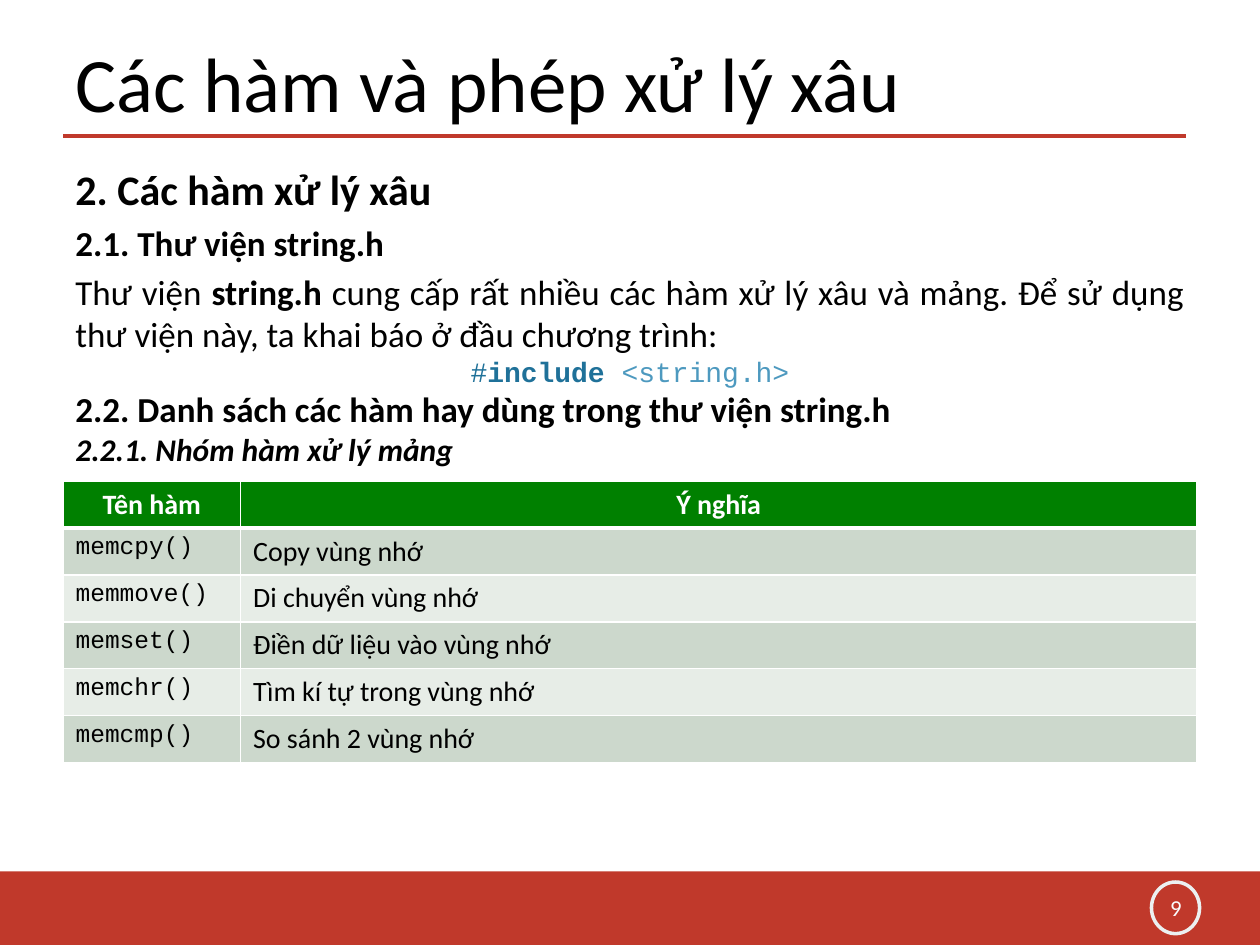
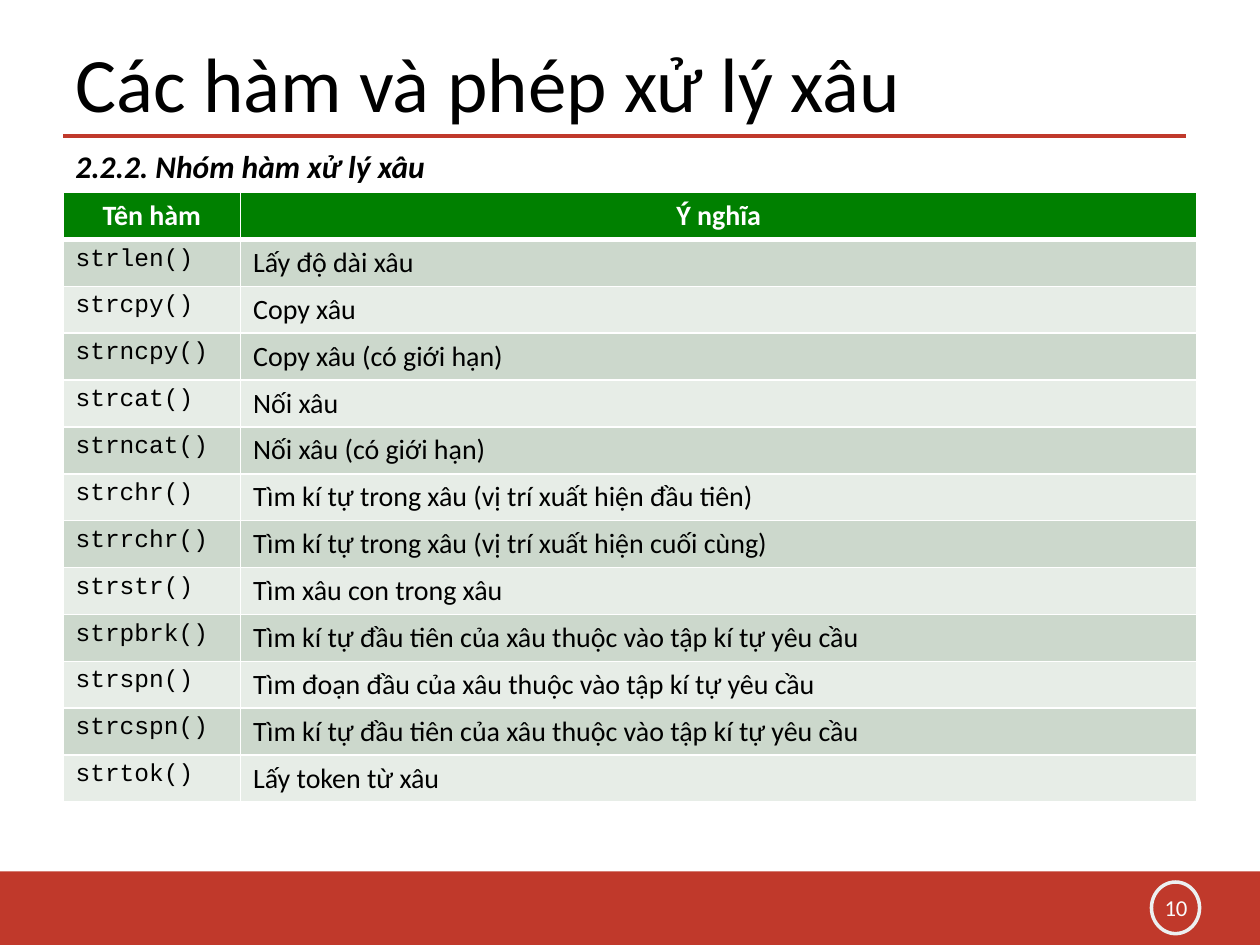
from lxml.etree import SubElement
from pptx import Presentation
from pptx.dml.color import RGBColor
from pptx.enum.shapes import MSO_CONNECTOR, MSO_SHAPE
from pptx.enum.text import MSO_ANCHOR, PP_ALIGN
from pptx.oxml.ns import qn
from pptx.util import Pt

RED = RGBColor(0xC0, 0x39, 0x2B)
RING = RGBColor(0xEC, 0xF0, 0xF1)
NUMBER = RGBColor(0xFA, 0xFC, 0xFC)
BLACK = RGBColor(0x00, 0x00, 0x00)
WHITE = RGBColor(0xFF, 0xFF, 0xFF)
GREEN = RGBColor(0x00, 0x80, 0x00)
BANDS = (RGBColor(0xCC, 0xD8, 0xCC), RGBColor(0xE7, 0xED, 0xE7))
KEYWORD = RGBColor(0x1F, 0x71, 0x99)
HEADER = RGBColor(0x4D, 0x99, 0xBF)
SANS, MONO = "Calibri", "Courier New"
LEFT, WIDTH = 36, 648
NAME_WIDTH, ROW_HEIGHT = 101.5, 26.8
TITLE = "Các hàm và phép xử lý xâu"

ARRAY_FUNCTIONS = (
    ("memcpy()", "Copy vùng nhớ"),
    ("memmove()", "Di chuyển vùng nhớ"),
    ("memset()", "Điền dữ liệu vào vùng nhớ"),
    ("memchr()", "Tìm kí tự trong vùng nhớ"),
    ("memcmp()", "So sánh 2 vùng nhớ"),
)
STRING_FUNCTIONS = (
    ("strlen()", "Lấy độ dài xâu"),
    ("strcpy()", "Copy xâu"),
    ("strncpy()", "Copy xâu (có giới hạn)"),
    ("strcat()", "Nối xâu"),
    ("strncat()", "Nối xâu (có giới hạn)"),
    ("strchr()", "Tìm kí tự trong xâu (vị trí xuất hiện đầu tiên)"),
    ("strrchr()", "Tìm kí tự trong xâu (vị trí xuất hiện cuối cùng)"),
    ("strstr()", "Tìm xâu con trong xâu"),
    ("strpbrk()", "Tìm kí tự đầu tiên của xâu thuộc vào tập kí tự yêu cầu"),
    ("strspn()", "Tìm đoạn đầu của xâu thuộc vào tập kí tự yêu cầu"),
    ("strcspn()", "Tìm kí tự đầu tiên của xâu thuộc vào tập kí tự yêu cầu"),
    ("strtok()", "Lấy token từ xâu"),
)


class Deck:
    """Builds lecture slides in one shared style."""

    def __init__(self):
        self.presentation = Presentation()
        self.presentation.slide_width = Pt(720)
        self.presentation.slide_height = Pt(540)
        self.slide = None

    def start_slide(self, number):
        self.slide = self.presentation.slides.add_slide(self.presentation.slide_layouts[6])
        self.rule(LEFT, 678, 77.8)
        self.shape(MSO_SHAPE.RECTANGLE, (0, 498, 720, 42), fill=RED)
        self.shape(MSO_SHAPE.OVAL, (658, 504, 27.5, 29.5), outline=RING)
        page = self.text_frame((654, 507, 36, 23), MSO_ANCHOR.MIDDLE)
        self.paragraph(page, PP_ALIGN.CENTER).run(str(number), 13, color=NUMBER)
        title = self.text_frame((LEFT, 21.6, 576, 49.7), MSO_ANCHOR.MIDDLE)
        self.paragraph(title, PP_ALIGN.LEFT).run(TITLE, 44)

    def rule(self, start, end, y):
        line = self.slide.shapes.add_connector(
            MSO_CONNECTOR.STRAIGHT, Pt(start), Pt(y), Pt(end), Pt(y))
        line.line.color.rgb = RED
        line.line.width = Pt(2.25)
        SubElement(line._element.spPr, qn("a:effectLst"))

    def shape(self, preset, box, fill=None, outline=None):
        shape = self.slide.shapes.add_shape(preset, *map(Pt, box))
        shape.shadow.inherit = False
        if fill is None:
            shape.fill.background()
        else:
            shape.fill.solid()
            shape.fill.fore_color.rgb = fill
        if outline is None:
            shape.line.fill.background()
        else:
            shape.line.color.rgb = outline
            shape.line.width = Pt(2)

    def text_frame(self, box, anchor=MSO_ANCHOR.TOP):
        frame = self.slide.shapes.add_textbox(*map(Pt, box)).text_frame
        frame.word_wrap = True
        frame.vertical_anchor = anchor
        return frame

    def paragraph(self, frame, align=PP_ALIGN.JUSTIFY, before=0):
        first = frame.paragraphs[0]
        self.current = frame.add_paragraph() if first.runs else first
        self.current.alignment = align
        self.current.space_before = Pt(before)
        return self

    def run(self, text, size, font=SANS, color=BLACK, bold=False, italic=False):
        run = self.current.add_run()
        run.text = text
        run.font.size = Pt(size)
        run.font.name = font
        run.font.color.rgb = color
        run.font.bold = bold
        run.font.italic = italic
        return self

    def border(self, cell, top, bottom):
        properties = cell._tc.get_or_add_tcPr()
        for side, width in (("L", 1), ("R", 1), ("T", top), ("B", bottom)):
            edge = SubElement(properties, qn(f"a:ln{side}"), w=str(Pt(width)))
            SubElement(SubElement(edge, qn("a:solidFill")), qn("a:srgbClr"), val=str(WHITE))

    def cell(self, cell, fill, top=1, bottom=1, align=PP_ALIGN.LEFT):
        self.border(cell, top, bottom)
        cell.fill.solid()
        cell.fill.fore_color.rgb = fill
        return self.paragraph(cell.text_frame, align)

    def function_table(self, top, functions):
        count = len(functions) + 1
        table = self.slide.shapes.add_table(
            count, 2, Pt(LEFT), Pt(top), Pt(WIDTH), Pt(count * ROW_HEIGHT)).table
        table.columns[0].width = Pt(NAME_WIDTH)
        table.columns[1].width = Pt(WIDTH - NAME_WIDTH)
        for row in table.rows:
            row.height = Pt(ROW_HEIGHT)
        for column, heading in enumerate(("Tên hàm", "Ý nghĩa")):
            self.cell(table.cell(0, column), GREEN, bottom=3, align=PP_ALIGN.CENTER).run(
                heading, 16, color=WHITE, bold=True)
        for index, (name, meaning) in enumerate(functions):
            band = BANDS[index % 2]
            top_width = 1 if index else 3
            self.cell(table.cell(index + 1, 0), band, top_width).run(name, 14, MONO)
            self.cell(table.cell(index + 1, 1), band, top_width).run(meaning, 16)


def main():
    deck = Deck()

    deck.start_slide(9)
    body = deck.text_frame((LEFT, 90, WIDTH, 185))
    deck.paragraph(body).run("2. Các hàm xử lý xâu", 24, bold=True)
    deck.paragraph(body, before=4).run("2.1. Thư viện string.h", 20, bold=True)
    deck.paragraph(body, before=4).run("Thư viện ", 20).run("string.h ", 20, bold=True).run(
        "cung cấp rất nhiều các hàm xử lý xâu và mảng. "
        "Để sử dụng thư viện này, ta khai báo ở đầu chương trình:", 20)
    deck.paragraph(body, PP_ALIGN.CENTER).run("#", 16, MONO, KEYWORD).run(
        "include ", 16, MONO, KEYWORD, bold=True).run("<string.h>", 16, MONO, HEADER)
    deck.paragraph(body).run(
        "2.2. Danh sách các hàm hay dùng trong thư viện string.h", 20, bold=True)
    deck.paragraph(body).run("2.2.1. Nhóm hàm xử lý mảng", 18, bold=True, italic=True)
    deck.function_table(275, ARRAY_FUNCTIONS)

    deck.start_slide(10)
    deck.function_table(110, STRING_FUNCTIONS)
    group = deck.text_frame((LEFT, 80.6, WIDTH, 29))
    deck.paragraph(group).run("2.2.2. Nhóm hàm xử lý xâu", 18, bold=True, italic=True)

    deck.presentation.save("out.pptx")


if __name__ == "__main__":
    main()
